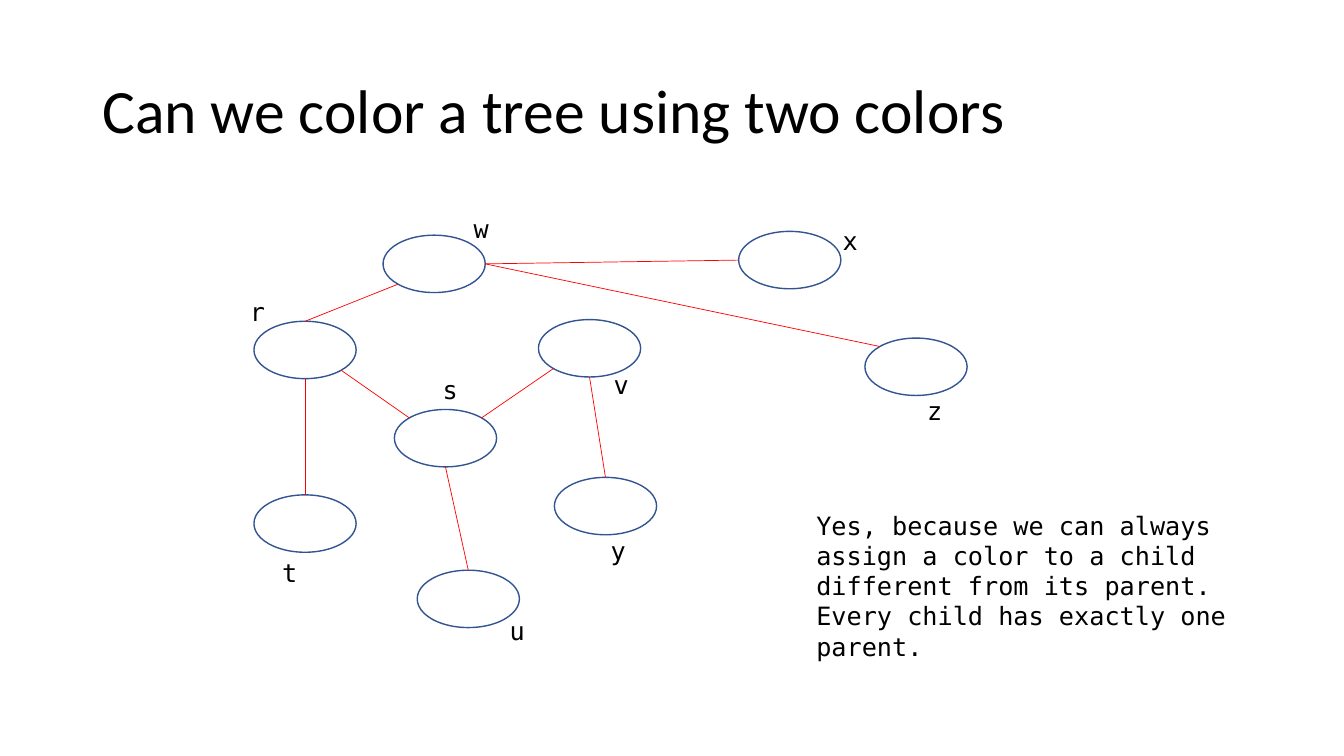
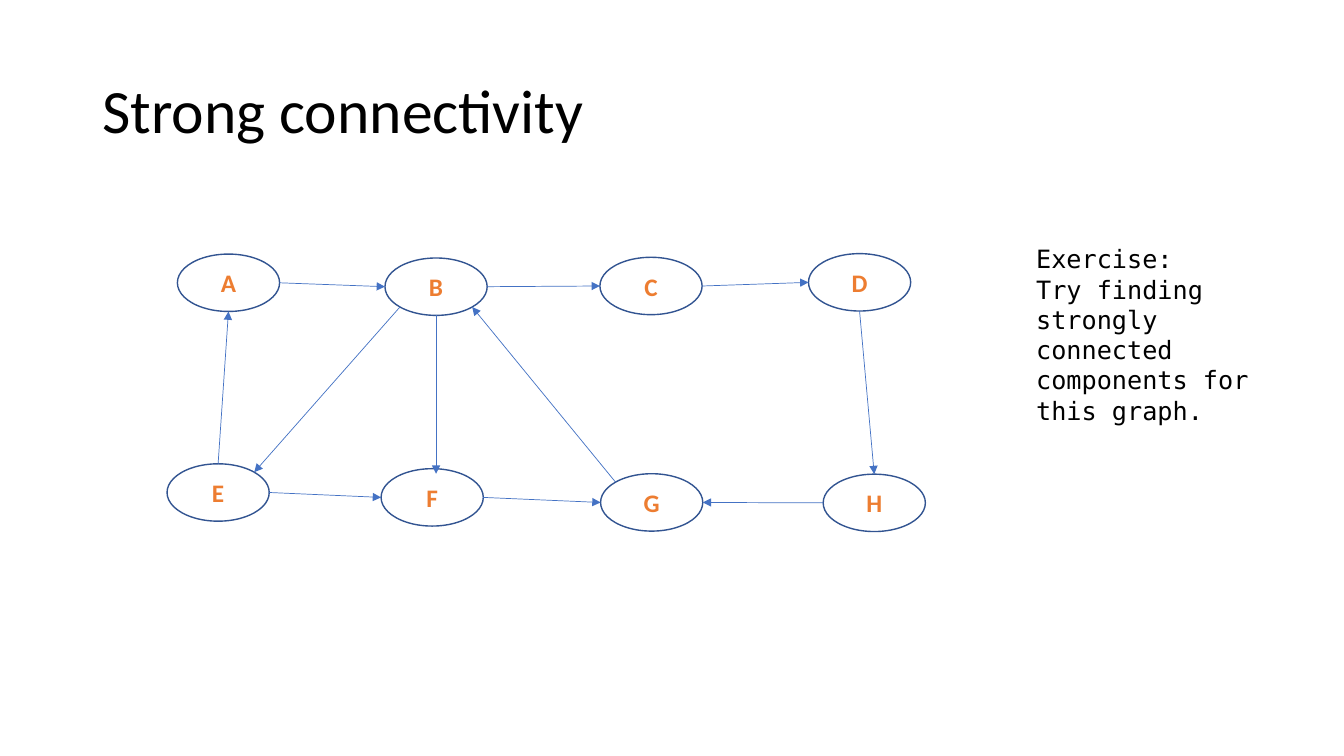
from math import cos, pi, sin
from lxml.etree import SubElement
from pptx import Presentation
from pptx.dml.color import RGBColor
from pptx.enum.shapes import MSO_CONNECTOR as Connector, MSO_SHAPE as Shape
from pptx.enum.text import MSO_ANCHOR as Anchor, MSO_AUTO_SIZE as AutoSize, PP_ALIGN as Align
from pptx.oxml.ns import qn
from pptx.util import Pt

COLORS = {"text": "000000", "node": "FFFFFF", "outline": "325491",
          "letter": "ED7D31", "tree": "FF0000", "arrow": "4472C4"}
SANS, MONO = "Calibri", "DejaVu Sans Mono"
NODE_WIDTH, NODE_HEIGHT = 73, 41
SITES = ["top", "top left", "left", "bottom left",
         "bottom", "bottom right", "right", "top right"]


def color(name):
    return RGBColor.from_string(COLORS[name])


class GraphDeck:
    """Draw titled slides of graphs in one shared style."""

    def __init__(self):
        self.presentation = Presentation()
        self.presentation.slide_width = Pt(960)
        self.presentation.slide_height = Pt(540)

    def new_slide(self, title):
        layout = self.presentation.slide_layouts[6]
        self.slide = self.presentation.slides.add_slide(layout)
        self.nodes = {}
        frame = self.text(title, 66, 29, 828, 104.4, SANS, 44)
        frame.auto_size = AutoSize.NONE
        frame.vertical_anchor = Anchor.MIDDLE
        frame.paragraphs[0].line_spacing = 0.9

    def style_text(self, frame, font_name, size, color_name, bold=False):
        for paragraph in frame.paragraphs:
            for run in paragraph.runs:
                run.font.name = font_name
                run.font.size = Pt(size)
                run.font.bold = bold
                run.font.color.rgb = color(color_name)

    def text(self, text, left, top, width, height, font_name=MONO, size=18):
        box = self.slide.shapes.add_textbox(Pt(left), Pt(top), Pt(width), Pt(height))
        frame = box.text_frame
        frame.word_wrap = True
        frame.auto_size = AutoSize.SHAPE_TO_FIT_TEXT
        frame.text = text
        self.style_text(frame, font_name, size, "text")
        return frame

    def label(self, text, left, top):
        self.text(text, left, top, 23, 29)

    def node(self, name, left, top, letter=""):
        shape = self.slide.shapes.add_shape(
            Shape.OVAL, Pt(left), Pt(top), Pt(NODE_WIDTH), Pt(NODE_HEIGHT))
        shape.shadow.inherit = False
        shape.fill.solid()
        shape.fill.fore_color.rgb = color("node")
        shape.line.color.rgb = color("outline")
        shape.line.width = Pt(1)
        if letter:
            frame = shape.text_frame
            frame.text = letter
            frame.vertical_anchor = Anchor.MIDDLE
            frame.paragraphs[0].alignment = Align.CENTER
            self.style_text(frame, SANS, 18, "letter", bold=True)
        self.nodes[name] = (shape, left, top)

    def site_point(self, name, site):
        _, left, top = self.nodes[name]
        angle = pi / 2 + SITES.index(site) * pi / 4
        return (left + NODE_WIDTH / 2 * (1 + cos(angle)),
                top + NODE_HEIGHT / 2 * (1 - sin(angle)))

    def line(self, start, end, color_name, arrow=False):
        connector = self.slide.shapes.add_connector(
            Connector.STRAIGHT, *(Pt(value) for value in (*start, *end)))
        connector.line.color.rgb = color(color_name)
        connector.line.width = Pt(0.5)
        properties = connector._element.spPr
        if arrow:
            SubElement(properties.find(qn("a:ln")), qn("a:tailEnd"), type="triangle")
        SubElement(properties, qn("a:effectLst"))
        return connector

    def edge(self, source, source_site, target, target_site, color_name, arrow=False):
        ends = [(source, source_site), (target, target_site)]
        start, end = (self.site_point(*place) for place in ends)
        connector = self.line(start, end, color_name, arrow)
        links = connector._element.nvCxnSpPr.cNvCxnSpPr
        for tag, (name, site) in zip(("a:stCxn", "a:endCxn"), ends):
            SubElement(links, qn(tag), id=str(self.nodes[name][0].shape_id),
                       idx=str(SITES.index(site)))


TREE_NODES = {"w": (273.6, 168), "r": (181.4, 229.5), "v": (384.6, 228.3),
              "t": (181.4, 353.5), "u": (298, 407.3), "y": (396, 341),
              "s": (281.7, 292.5), "x": (527.6, 165.3), "z": (617.8, 241.5)}
TREE_LABELS = {"u": (357, 435.6), "s": (309, 263.5), "t": (194.4, 394.6),
               "y": (429.1, 378.7), "r": (171.4, 208), "v": (431.3, 260),
               "z": (655.2, 278.6), "x": (594.7, 157.7), "w": (331.2, 149)}
TREE_EDGES = [("w", "right", "x", "left"), ("w", "right", "z", "top left"),
              ("y", "top", "v", "bottom"), ("t", "top", "r", "bottom"),
              ("r", "top", "w", "bottom left"), ("u", "top", "s", "bottom"),
              ("s", "top left", "r", "bottom right"),
              ("s", "top right", "v", "bottom left")]

DIRECTED_NODES = {"A": (126.7, 181.5), "B": (275, 184.3), "C": (428.5, 183.8),
                  "D": (577.5, 181.2), "H": (588, 338.7), "G": (429, 338.4),
                  "F": (272.2, 334.8), "E": (119.3, 331.3)}
DIRECTED_EDGES = [("A", "right", "B", "left"), ("B", "right", "C", "left"),
                  ("B", "bottom left", "E", "top right"), ("E", "right", "F", "left"),
                  ("E", "top", "A", "bottom"), ("C", "right", "D", "left"),
                  ("D", "bottom", "H", "top"), ("H", "left", "G", "right"),
                  ("G", "top left", "B", "bottom right"), ("F", "right", "G", "left")]


def main():
    deck = GraphDeck()

    deck.new_slide("Can we color a tree using two colors")
    for name, place in TREE_NODES.items():
        deck.node(name, *place)
    for edge in TREE_EDGES:
        deck.edge(*edge, "tree")
    for name, place in TREE_LABELS.items():
        deck.label(name, *place)
    deck.text("Yes, because we can always assign a color to a child different from "
              "its parent. Every child has exactly one parent.", 576, 360.7, 357, 94.3)

    deck.new_slide("Strong connectivity")
    for name, place in DIRECTED_NODES.items():
        deck.node(name, *place, letter=name)
    for edge in DIRECTED_EDGES:
        deck.edge(*edge, "arrow", arrow=True)
    start = deck.site_point("B", "bottom")
    deck.line(start, (start[0], 338.4), "arrow", arrow=True)
    deck.text("Exercise:\nTry finding strongly connected components for this graph.",
              733, 170.6, 199.4, 116.6)

    deck.presentation.save("out.pptx")


if __name__ == "__main__":
    main()
